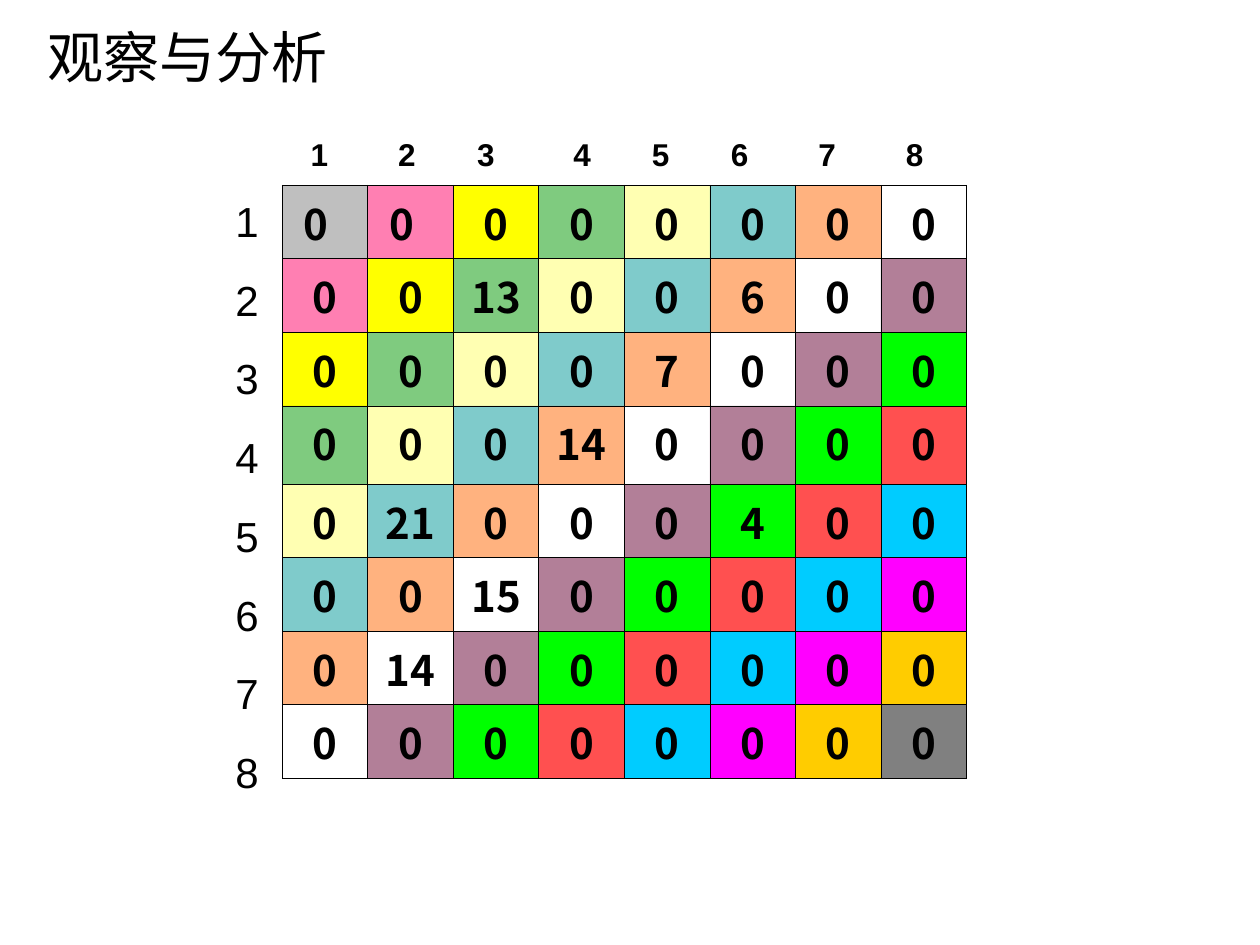
"""Build the slide showing a sparse 8 by 8 matrix coloured along its diagonals."""
from itertools import accumulate

from lxml.etree import SubElement
from pptx import Presentation
from pptx.dml.color import RGBColor
from pptx.enum.text import PP_ALIGN
from pptx.oxml.ns import qn
from pptx.util import Inches, Pt

TITLE = "观察与分析"
SIZE = 8
LABELS = [str(number) for number in range(1, SIZE + 1)]
NONZERO = {(2, 3): 13, (2, 6): 6, (3, 5): 7, (4, 4): 14,
           (5, 2): 21, (5, 6): 4, (6, 3): 15, (7, 2): 14}

BLACK = RGBColor(0x00, 0x00, 0x00)
GREY = RGBColor(0x80, 0x80, 0x80)
PINK = RGBColor(0xFF, 0x00, 0x66)
YELLOW = RGBColor(0xFF, 0xFF, 0x00)
GREEN = RGBColor(0x00, 0x99, 0x00)
CREAM = RGBColor(0xFF, 0xFF, 0x66)
TEAL = RGBColor(0x00, 0x99, 0x99)
ORANGE = RGBColor(0xFF, 0x66, 0x00)
PLUM = RGBColor(0x66, 0x00, 0x33)
LIME = RGBColor(0x00, 0xFF, 0x00)
RED = RGBColor(0xFF, 0x50, 0x50)
SKY = RGBColor(0x00, 0xCC, 0xFF)
MAGENTA = RGBColor(0xFF, 0x00, 0xFF)
GOLD = RGBColor(0xFF, 0xCC, 0x00)

DIAGONALS = [(GREY, 50), (PINK, 50), (YELLOW, 100), (GREEN, 50), (CREAM, 50),
             (TEAL, 50), (ORANGE, 50), (None, 100), (PLUM, 50), (LIME, 100),
             (RED, 100), (SKY, 100), (MAGENTA, 100), (GOLD, 100), (GREY, 100)]

TABLE_LEFT, TABLE_TOP, TABLE_WIDTH = 2.24, 1.47, 5.43
ROW_HEIGHTS = [0.58, 0.58, 0.58, 0.62, 0.58, 0.58, 0.58, 0.58]
HEADING_STOPS = list(accumulate([15, 50, 45, 55, 45, 45, 50, 50]))


def style(paragraph, size, name, bold=False):
    font = paragraph.font
    font.size, font.name, font.bold = Pt(size), name, bold
    font.color.rgb = BLACK


def add_text(slide, left, top, width, height, text, inset_top=0.05):
    box = slide.shapes.add_textbox(*map(Inches, (left, top, width, height)))
    frame = box.text_frame
    frame.word_wrap = True
    frame.margin_top = Inches(inset_top)
    frame.text = text
    return frame.paragraphs


def add_borders(cell):
    properties = cell._tc.get_or_add_tcPr()
    for side in ("lnL", "lnR", "lnT", "lnB"):
        line = SubElement(properties, qn(f"a:{side}"), w=str(Pt(0.45)))
        fill = SubElement(line, qn("a:solidFill"))
        SubElement(fill, qn("a:srgbClr"), val=str(BLACK))


def fill_cell(cell, color, opacity):
    if color is None:
        cell.fill.background()
        return
    cell.fill.solid()
    cell.fill.fore_color.rgb = color
    if opacity < 100:
        solid = cell._tc.tcPr.find(qn("a:solidFill"))
        SubElement(solid[0], qn("a:alpha"), val=str(opacity * 1000))


def add_matrix(slide):
    frame = slide.shapes.add_table(
        SIZE, SIZE, Inches(TABLE_LEFT), Inches(TABLE_TOP),
        Inches(TABLE_WIDTH), Inches(sum(ROW_HEIGHTS)))
    table = frame.table
    table.first_row = table.horz_banding = False
    for row, height in enumerate(ROW_HEIGHTS):
        table.rows[row].height = Inches(height)
        for column in range(SIZE):
            cell = table.cell(row, column)
            cell.text = str(NONZERO.get((row + 1, column + 1), 0))
            paragraph = cell.text_frame.paragraphs[0]
            style(paragraph, 24, "Noto Sans CJK SC", bold=True)
            if row == 0 and column < 2:
                cell.margin_left = Inches(0.17)
            else:
                paragraph.alignment = PP_ALIGN.CENTER
            add_borders(cell)
            fill_cell(cell, *DIAGONALS[row + column])


def add_headings(slide):
    text = "".join(f"\t{label}" for label in LABELS)
    paragraph = add_text(slide, 2.16, 0.99, TABLE_WIDTH, 0.4, text, 0.08)[0]
    tabs = SubElement(paragraph._p.get_or_add_pPr(), qn("a:tabLst"))
    for stop in HEADING_STOPS:
        SubElement(tabs, qn("a:tab"), pos=str(Pt(stop)), algn="l")
    style(paragraph, 18, "Arial", bold=True)


def add_row_labels(slide):
    paragraphs = add_text(slide, 1.77, TABLE_TOP, 0.55, 5.37, "\n".join(LABELS), 0.08)
    for index, paragraph in enumerate(paragraphs):
        style(paragraph, 24, "Arial")
        if index:
            paragraph.space_before = Pt(16.2)


def main():
    presentation = Presentation()
    presentation.slide_width, presentation.slide_height = Inches(10), Inches(7.5)
    slide = presentation.slides.add_slide(presentation.slide_layouts[6])
    add_matrix(slide)
    add_headings(slide)
    add_row_labels(slide)
    style(add_text(slide, 0.28, 0.13, 3.15, 0.64, TITLE)[0], 32, "Times New Roman")
    presentation.save("out.pptx")


if __name__ == "__main__":
    main()
